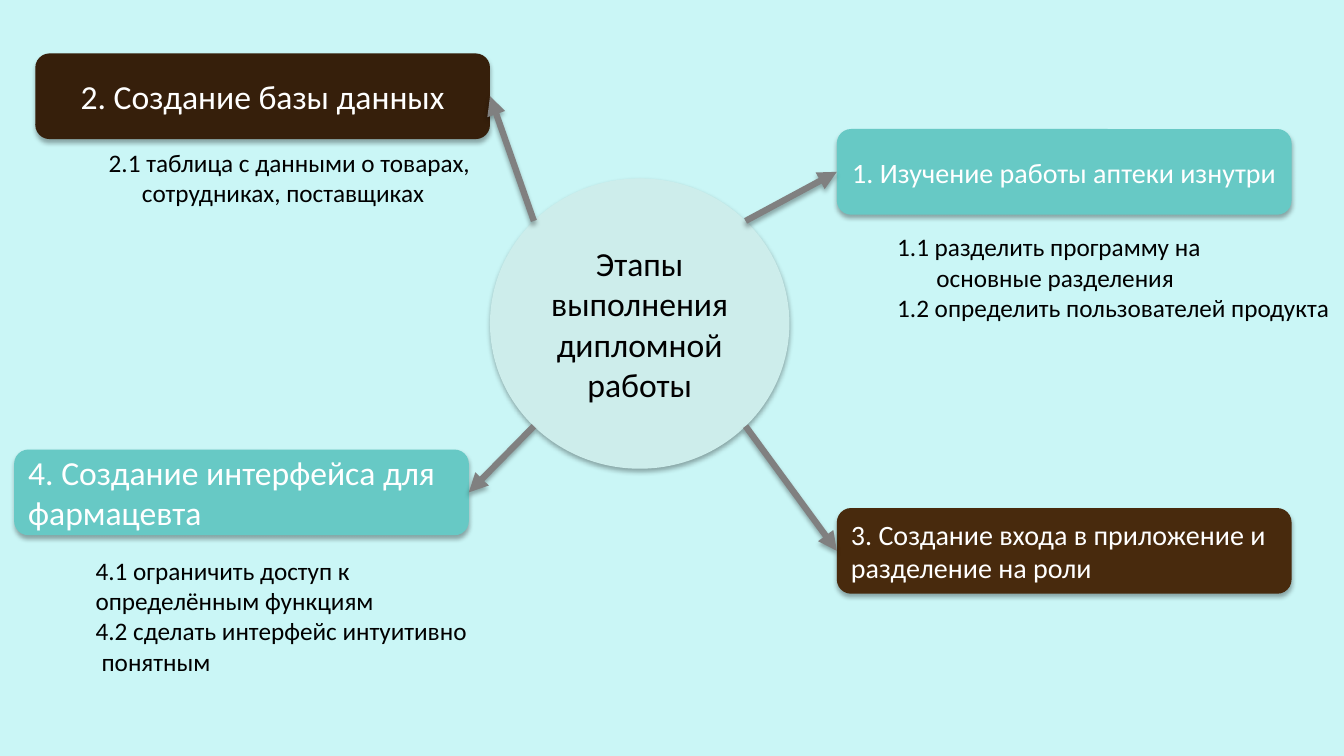
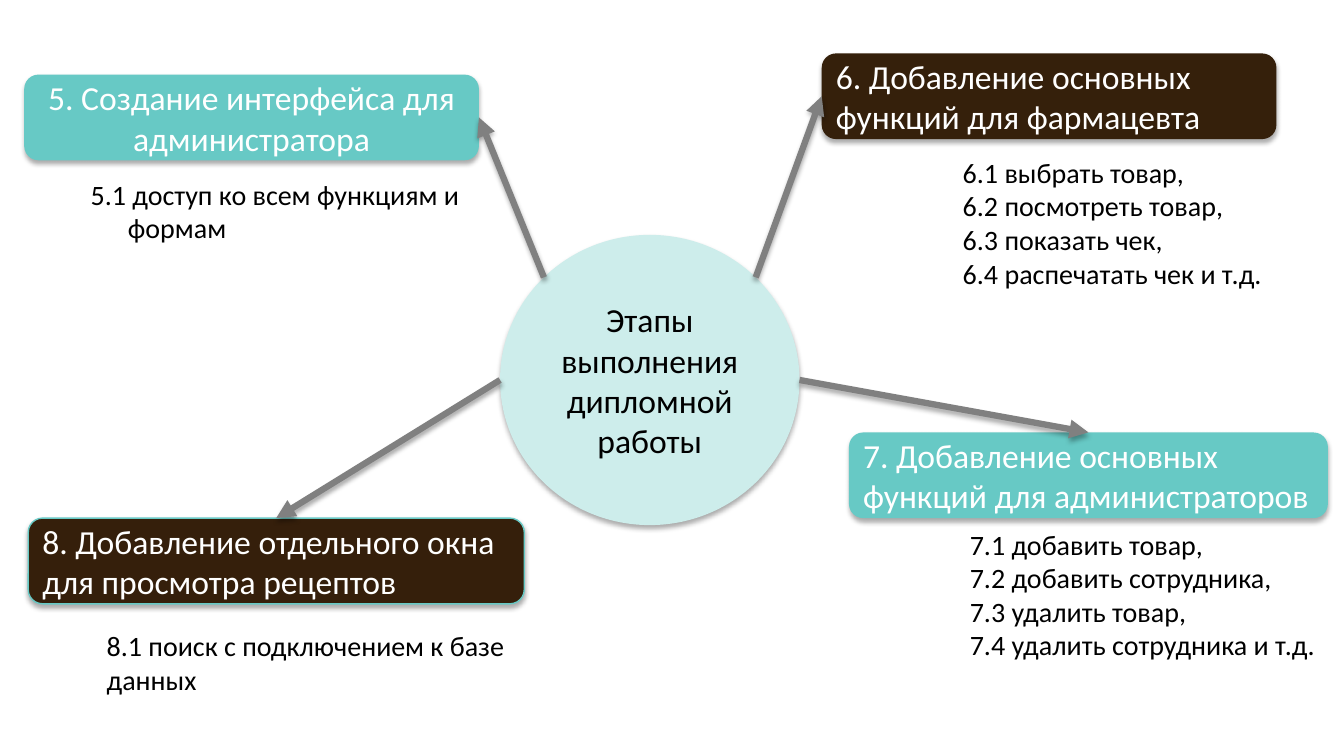
from math import cos, radians, sin

from lxml.etree import SubElement
from pptx import Presentation
from pptx.dml.color import RGBColor
from pptx.enum.shapes import MSO_CONNECTOR, MSO_SHAPE
from pptx.enum.text import MSO_ANCHOR, PP_ALIGN
from pptx.oxml.ns import qn
from pptx.util import Inches, Pt

FONT = "Calibri"
TEAL, MINT, AQUA = "67C9C5", "CDEDEB", "CAF6F6"
WHITE, BLACK, GRAY = "FFFFFF", "000000", "808080"
LEFT, CENTER = PP_ALIGN.LEFT, PP_ALIGN.CENTER

HUB_TEXT = "Этапы выполнения дипломной работы"
HUB_SIZE = (2.97, 2.88)
STAGE_HEIGHT = 0.85
SIDES = {"left": (0, 0.5), "right": (1, 0.5), "top": (0.5, 0)}

SLIDES = [
    {
        "background": AQUA,
        "hub": (4.86, 1.77),
        "note_size": 18,
        "stages": [
            {"title": "1. Изучение работы аптеки изнутри", "at": (8.3, 1.28, 4.51),
             "fill": TEAL, "size": 20, "align": CENTER, "angle": -45, "side": "left",
             "note_at": (8.8, 2.25, 4.54, 1.31),
             "note": [("1.1 разделить программу на", 0), ("основные разделения", 0.39),
                      ("1.2 определить пользователей продукта", 0)]},
            {"title": "2. Создание базы данных", "at": (0.35, 0.53, 4.51),
             "fill": "361F0B", "size": 24, "align": CENTER, "angle": -135, "side": "right",
             "note_at": (0.98, 1.41, 3.88, 1.01),
             "note": [("2.1 таблица с данными о товарах,", 0), ("сотрудниках, поставщиках", 0.33)]},
            {"title": "3. Создание входа в приложение и разделение на роли", "at": (8.3, 5.04, 4.51),
             "fill": "482A0D", "size": 20, "align": LEFT, "angle": 45, "side": "left"},
            {"title": "4. Создание интерфейса для фармацевта", "at": (0.14, 4.46, 4.51),
             "fill": TEAL, "size": 24, "align": LEFT, "angle": 135, "side": "right",
             "note_at": (0.85, 5.46, 3.93, 1.62),
             "note": [("4.1 ограничить доступ к", 0), ("определённым функциям", 0),
                      ("4.2 сделать интерфейс интуитивно", 0), ("понятным", 0.06)]},
        ],
    },
    {
        "background": WHITE,
        "hub": (4.96, 2.33),
        "note_size": 20,
        "stages": [
            {"title": "5. Создание интерфейса для администратора", "at": (0.24, 0.74, 4.51),
             "fill": TEAL, "size": 24, "align": CENTER, "angle": -135, "side": "right",
             "note_at": (0.8, 1.71, 3.95, 0.77),
             "note": [("5.1 доступ ко всем функциям и", 0), ("формам", 0.37)]},
            {"title": "6. Добавление основных функций для фармацевта", "at": (8.15, 0.53, 4.51),
             "fill": "35200B", "size": 24, "align": LEFT, "angle": -45, "side": "left",
             "note_at": (9.45, 1.49, 3.19, 1.45),
             "note": [("6.1 выбрать товар,", 0), ("6.2 посмотреть товар,", 0),
                      ("6.3 показать чек,", 0), ("6.4 распечатать чек и т.д.", 0)]},
            {"title": "7. Добавление основных функций для администраторов", "at": (8.42, 4.29, 4.75),
             "fill": TEAL, "size": 24, "align": LEFT, "angle": 0, "side": "top",
             "note_at": (9.52, 5.18, 3.65, 1.78),
             "note": [("7.1 добавить товар,", 0), ("7.2 добавить сотрудника,", 0),
                      ("7.3 удалить товар,", 0), ("7.4 удалить сотрудника и т.д.", 0)]},
            {"title": "8. Добавление отдельного окна для просмотра рецептов", "at": (0.28, 5.14, 4.92),
             "fill": "351F0B", "line": TEAL, "size": 24, "align": LEFT, "angle": 180, "side": "top",
             "note_at": (0.96, 6.19, 4.24, 0.77),
             "note": [("8.1 поиск с подключением к базе", 0), ("данных", 0)]},
        ],
    },
]


def color(value):
    return RGBColor.from_string(value)


def add_shadow(shape):
    effects = SubElement(shape.element.spPr, qn("a:effectLst"))
    shadow = SubElement(effects, qn("a:outerShdw"), blurRad=str(Pt(3.5)), dist=str(Pt(2.2)),
                        dir="5400000", algn="ctr", rotWithShape="0")
    black = SubElement(shadow, qn("a:srgbClr"), val=BLACK)
    SubElement(black, qn("a:alpha"), val="32000")


def format_paragraph(paragraph, size, font_color, align):
    paragraph.alignment = align
    for run in paragraph.runs:
        run.font.name = FONT
        run.font.size = Pt(size)
        run.font.color.rgb = color(font_color)


def add_panel(slide, kind, box, text, fill, size, font_color, align, line=None):
    shape = slide.shapes.add_shape(kind, *map(Inches, box))
    shape.fill.solid()
    shape.fill.fore_color.rgb = color(fill)
    if line:
        shape.line.color.rgb = color(line)
        shape.line.width = Pt(1)
    else:
        shape.line.fill.background()
    add_shadow(shape)
    frame = shape.text_frame
    frame.word_wrap = True
    frame.vertical_anchor = MSO_ANCHOR.MIDDLE
    frame.text = text
    format_paragraph(frame.paragraphs[0], size, font_color, align)


def add_note(slide, box, lines, size):
    frame = slide.shapes.add_textbox(*map(Inches, box)).text_frame
    frame.word_wrap = True
    frame.margin_right = 0
    for index, (text, indent) in enumerate(lines):
        paragraph = frame.add_paragraph() if index else frame.paragraphs[0]
        paragraph.text = text
        format_paragraph(paragraph, size, BLACK, LEFT)
        paragraph._p.get_or_add_pPr().set("marL", str(Inches(indent)))


def add_arrow(slide, start, end):
    arrow = slide.shapes.add_connector(MSO_CONNECTOR.STRAIGHT, *map(Inches, start + end))
    arrow.line.color.rgb = color(GRAY)
    arrow.line.width = Pt(4.5)
    SubElement(arrow.element.spPr.find(qn("a:ln")), qn("a:tailEnd"), type="triangle")
    add_shadow(arrow)


def hub_point(hub, angle):
    left, top, width, height = hub
    turn = radians(angle)
    return left + width / 2 * (1 + cos(turn)), top + height / 2 * (1 + sin(turn))


def side_point(box, side):
    left, top, width, height = box
    across, down = SIDES[side]
    return left + width * across, top + height * down


def add_stage_slide(presentation, content):
    slide = presentation.slides.add_slide(presentation.slide_layouts[6])
    slide.background.fill.solid()
    slide.background.fill.fore_color.rgb = color(content["background"])
    hub = content["hub"] + HUB_SIZE
    add_panel(slide, MSO_SHAPE.OVAL, hub, HUB_TEXT, MINT, 24, BLACK, CENTER)
    arrows = []
    for stage in content["stages"]:
        box = stage["at"] + (STAGE_HEIGHT,)
        add_panel(slide, MSO_SHAPE.ROUNDED_RECTANGLE, box, stage["title"], stage["fill"],
                  stage["size"], WHITE, stage["align"], stage.get("line"))
        if "note" in stage:
            add_note(slide, stage["note_at"], stage["note"], content["note_size"])
        arrows.append((hub_point(hub, stage["angle"]), side_point(box, stage["side"])))
    for start, end in arrows:
        add_arrow(slide, start, end)


def main():
    presentation = Presentation()
    presentation.slide_width = Inches(13.33)
    presentation.slide_height = Inches(7.5)
    for content in SLIDES:
        add_stage_slide(presentation, content)
    presentation.save("out.pptx")


if __name__ == "__main__":
    main()
